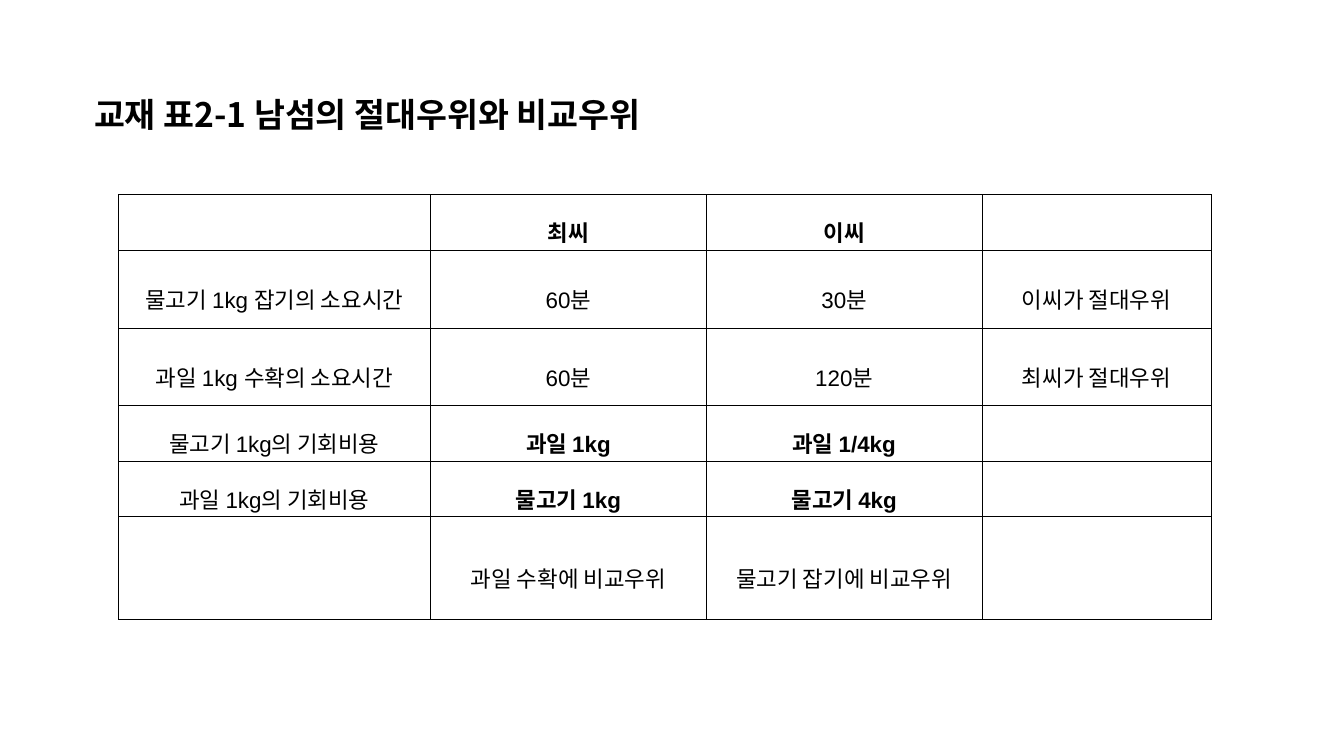
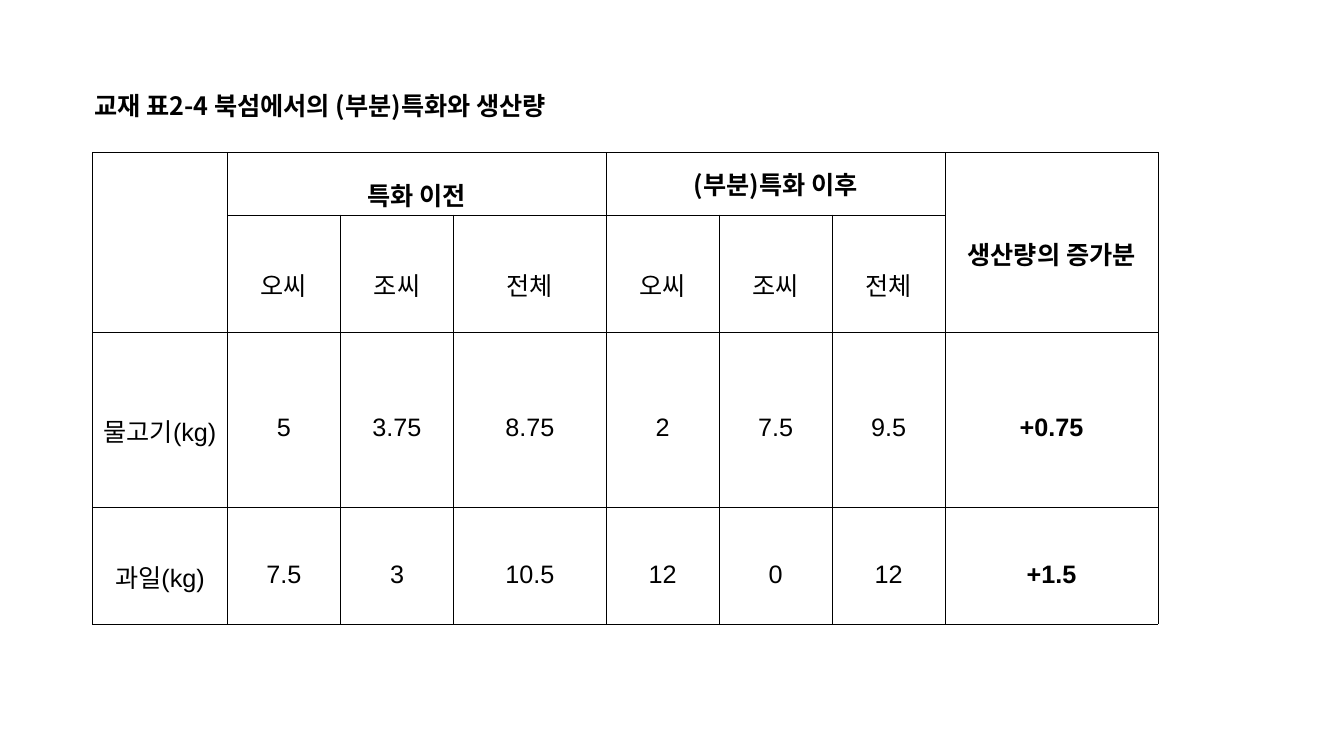
from lxml.etree import SubElement
from pptx import Presentation
from pptx.dml.color import RGBColor
from pptx.enum.text import MSO_ANCHOR as Anchor, MSO_AUTO_SIZE as AutoSize, PP_ALIGN as Align
from pptx.oxml import parse_xml
from pptx.oxml.ns import nsdecls, qn
from pptx.util import Pt

COLORS = {"text": "000000", "border": "000000"}
KOREAN, LATIN = "Noto Sans CJK KR", "Arial"
TITLE_BOX = (60, 52, 834, 54)
TITLE_SPACING, CELL_SPACING = 1.4, 1.6
BORDER_WIDTH = Pt(0.28)
CELL_FORMAT = {
    "vertical_anchor": Anchor.MIDDLE,
    "margin_left": Pt(5), "margin_right": Pt(5),
    "margin_top": Pt(1.4), "margin_bottom": Pt(1.4),
}

ADVANTAGE = {
    "title": "교재 표2-1 남섬의 절대우위와 비교우위",
    "title_size": 24,
    "origin": (84.5, 139),
    "columns": [223, 197, 197, 163.5],
    "rows": [30, 55.5, 55.5, 36.5, 36.5, 73.5],
    "cells": [
        ["", "최씨", "이씨", ""],
        ["물고기 1kg 잡기의 소요시간", "60분", "30분", "이씨가 절대우위"],
        ["과일 1kg 수확의 소요시간", "60분", "120분", "최씨가 절대우위"],
        ["물고기 1kg의 기회비용", "과일 1kg", "과일 1/4kg", ""],
        ["과일 1kg의 기회비용", "물고기 1kg", "물고기 4kg", ""],
        ["", "과일 수확에 비교우위", "물고기 잡기에 비교우위", ""],
    ],
    "size": 16,
    "header_font": LATIN,
    "merges": [],
    "bold": lambda row, column: row == 0 or (row in (3, 4) and column in (1, 2)),
    "single_spaced": [],
}

SPECIALIZATION = {
    "title": "교재 표2-4 북섬에서의 (부분)특화와 생산량",
    "title_size": 18,
    "origin": (66, 109),
    "columns": [96.5, 80.75, 80.75, 109, 80.75, 80.75, 80.75, 152],
    "rows": [42, 83.5, 125.5, 83.5],
    "cells": [
        ["", "특화 이전", "", "", "(부분)특화 이후", "", "", "생산량의 증가분"],
        ["", "오씨", "조씨", "전체", "오씨", "조씨", "전체", ""],
        ["물고기(kg)", "5", "3.75", "8.75", "2", "7.5", "9.5", "+0.75"],
        ["과일(kg)", "7.5", "3", "10.5", "12", "0", "12", "+1.5"],
    ],
    "size": 18,
    "header_font": KOREAN,
    "merges": [((0, 0), (1, 0)), ((0, 1), (0, 3)), ((0, 4), (0, 6)), ((0, 7), (1, 7))],
    "bold": lambda row, column: row == 0 or column == 7,
    "single_spaced": [(0, 4)],
}


def set_format(target, values):
    for name, value in values.items():
        setattr(target, name, value)


def write_text(frame, text, size, font_name, bold, alignment, spacing):
    paragraph = frame.paragraphs[0]
    set_format(paragraph, {"alignment": alignment, "line_spacing": spacing,
                           "space_before": Pt(0)})
    run = paragraph.add_run()
    run.text = text
    set_format(run.font, {"name": font_name, "size": Pt(size), "bold": bold})
    run.font.color.rgb = RGBColor.from_string(COLORS["text"])
    SubElement(run.font._element, qn("a:ea")).set("typeface", KOREAN)


def add_borders(cell):
    properties = cell._tc.get_or_add_tcPr()
    for index, side in enumerate("LRTB"):
        properties.insert(index, parse_xml(
            f'<a:ln{side} {nsdecls("a")} w="{BORDER_WIDTH}"><a:solidFill>'
            f'<a:srgbClr val="{COLORS["border"]}"/></a:solidFill></a:ln{side}>'))


def place_title(slide, text, size, box):
    title = slide.shapes.title
    set_format(title, dict(zip(("left", "top", "width", "height"), map(Pt, box))))
    frame = title.text_frame
    set_format(frame, {"word_wrap": True, "auto_size": AutoSize.NONE,
                       "vertical_anchor": Anchor.TOP})
    write_text(frame, text, size, KOREAN, True, Align.JUSTIFY, TITLE_SPACING)


def place_table(slide, content):
    columns, rows = content["columns"], content["rows"]
    box = (*content["origin"], sum(columns), sum(rows))
    table = slide.shapes.add_table(len(rows), len(columns), *map(Pt, box)).table
    set_format(table, {"first_row": False, "horz_banding": False})
    for column, width in zip(table.columns, columns):
        column.width = Pt(width)
    for row, height in zip(table.rows, rows):
        row.height = Pt(height)
    for start, end in content["merges"]:
        table.cell(*start).merge(table.cell(*end))

    for row, texts in enumerate(content["cells"]):
        for column, text in enumerate(texts):
            cell = table.cell(row, column)
            set_format(cell, CELL_FORMAT)
            cell.fill.background()
            add_borders(cell)
            if text:
                font_name = content["header_font"] if row == 0 else LATIN
                single = (row, column) in content["single_spaced"]
                write_text(cell.text_frame, text, content["size"], font_name,
                           content["bold"](row, column), Align.CENTER,
                           1.0 if single else CELL_SPACING)


def add_table_slide(presentation, content):
    slide = presentation.slides.add_slide(presentation.slide_layouts[5])
    place_title(slide, content["title"], content["title_size"], TITLE_BOX)
    place_table(slide, content)


def main():
    presentation = Presentation()
    set_format(presentation, {"slide_width": Pt(960), "slide_height": Pt(540)})
    for content in (ADVANTAGE, SPECIALIZATION):
        add_table_slide(presentation, content)
    presentation.save("out.pptx")


if __name__ == "__main__":
    main()
